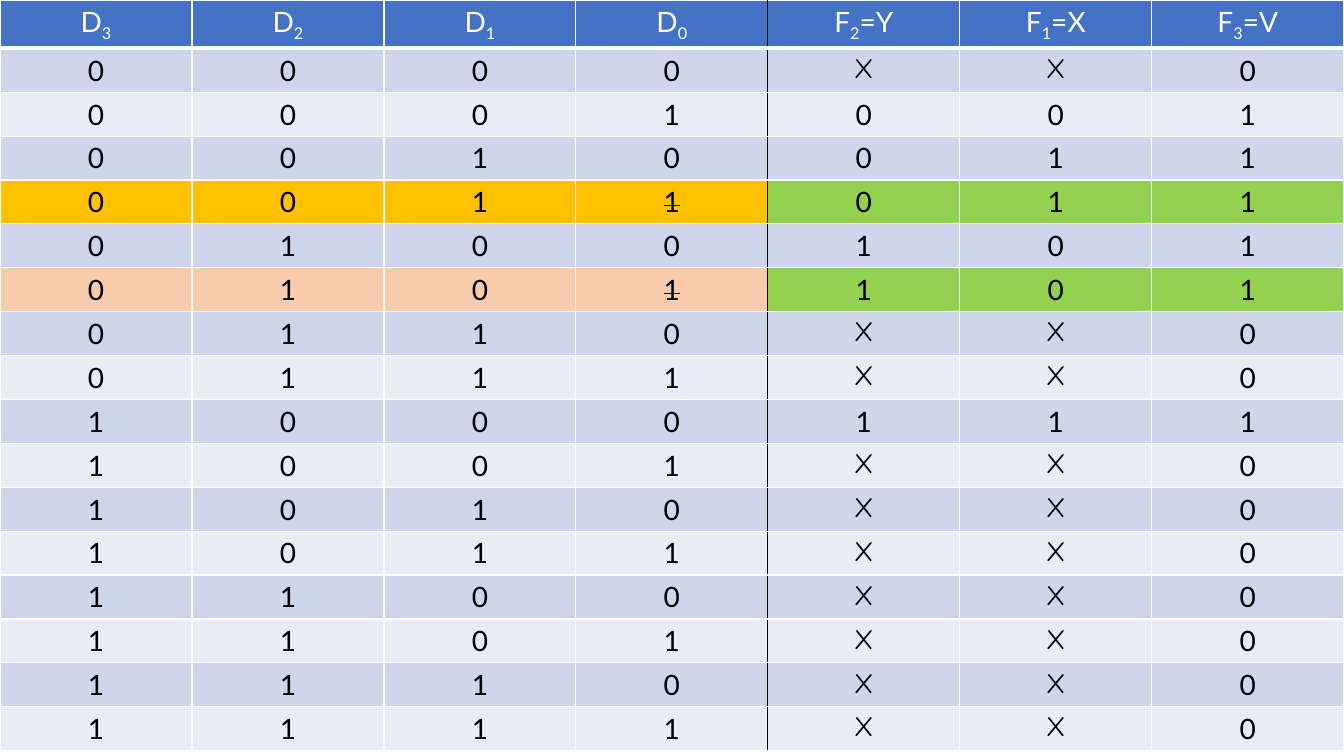
import pptx
import pptx.dml.color
import pptx.enum.text
import pptx.oxml.ns
import pptx.util
from lxml import etree

WIDTH, HEIGHT = 13.33, 7.5
TABLE_HEIGHT = 7.37
INPUTS = 4
HEADERS = [("D", "3", ""), ("D", "2", ""), ("D", "1", ""), ("D", "0", ""),
           ("F", "2", "=Y"), ("F", "1", "=X"), ("F", "3", "=V")]
# Outputs by input number; every other input gives INVALID.
INVALID = "XX0"
OUTPUTS = {1: "001", 2: "011", 3: "011", 4: "101", 5: "101", 8: "111"}
# Rows where the lowest bit is ignored, with the fill of their inputs.
IGNORED_BIT_FILLS = {3: "FFC000", 5: "F8CBAD"}
WHITE, BLACK, BLUE, GREEN = "FFFFFF", "000000", "4472C4", "92D050"
BANDS = ["CFD5EA", "E9EBF5"]


def rgb(color):
    return pptx.dml.color.RGBColor.from_string(color)


def add_run(p, text, color, font="Lato", **attributes):
    """Add a run; extra attributes (baseline, strike) go to its rPr."""
    r = p.add_run()
    r.text = text
    r.font.name = font
    r.font.size = pptx.util.Pt(20)
    r.font.bold = False
    r.font.color.rgb = rgb(color)
    for name, value in attributes.items():
        r.font._element.set(name, value)


def add_border(cell, side, color, points):
    qn = pptx.oxml.ns.qn
    tcPr = cell._tc.get_or_add_tcPr()
    ln = etree.SubElement(tcPr, qn("a:ln" + side), w=str(pptx.util.Pt(points)))
    fill = etree.SubElement(ln, qn("a:solidFill"))
    etree.SubElement(fill, qn("a:srgbClr"), val=color)


def style_cell(cell, col, fill, bottom=1):
    """Set borders, fill and alignment; a black rule parts inputs from outputs."""
    if col > 0:
        add_border(cell, "L", BLACK if col == INPUTS else WHITE, 1)
    add_border(cell, "R", BLACK if col == INPUTS - 1 else WHITE, 1)
    add_border(cell, "T", WHITE, 1)
    add_border(cell, "B", WHITE, bottom)
    cell.fill.solid()
    cell.fill.fore_color.rgb = rgb(fill)
    p = cell.text_frame.paragraphs[0]
    p.alignment = pptx.enum.text.PP_ALIGN.CENTER
    return p


def fill_header(table):
    for col, (letter, index, suffix) in enumerate(HEADERS):
        p = style_cell(table.cell(0, col), col, BLUE, bottom=3)
        add_run(p, letter, WHITE)
        add_run(p, index, WHITE, baseline="-25000")
        if suffix:
            add_run(p, suffix, WHITE)


def fill_row(table, number):
    values = format(number, "04b") + OUTPUTS.get(number, INVALID)
    ignored = number in IGNORED_BIT_FILLS
    for col, value in enumerate(values):
        fill = BANDS[number % 2]
        if ignored:
            fill = IGNORED_BIT_FILLS[number] if col < INPUTS else GREEN
        p = style_cell(table.cell(number + 1, col), col, fill)
        font = "Comic Neue" if value == "X" else "Lato"
        strike = ignored and col == INPUTS - 1
        add_run(p, value, BLACK, font, **({"strike": "sngStrike"} if strike else {}))


def add_truth_table(s):
    count = 2 ** INPUTS
    table = s.shapes.add_table(count + 1, len(HEADERS), 0, 0, pptx.util.Inches(WIDTH),
                               pptx.util.Inches(TABLE_HEIGHT)).table
    table.first_row = False
    table.horz_banding = False
    fill_header(table)
    for number in range(count):
        fill_row(table, number)


def main():
    prs = pptx.Presentation()
    prs.slide_width = pptx.util.Inches(WIDTH)
    prs.slide_height = pptx.util.Inches(HEIGHT)
    s = prs.slides.add_slide(prs.slide_layouts[6])
    add_truth_table(s)
    prs.save("out.pptx")


if __name__ == "__main__":
    main()
